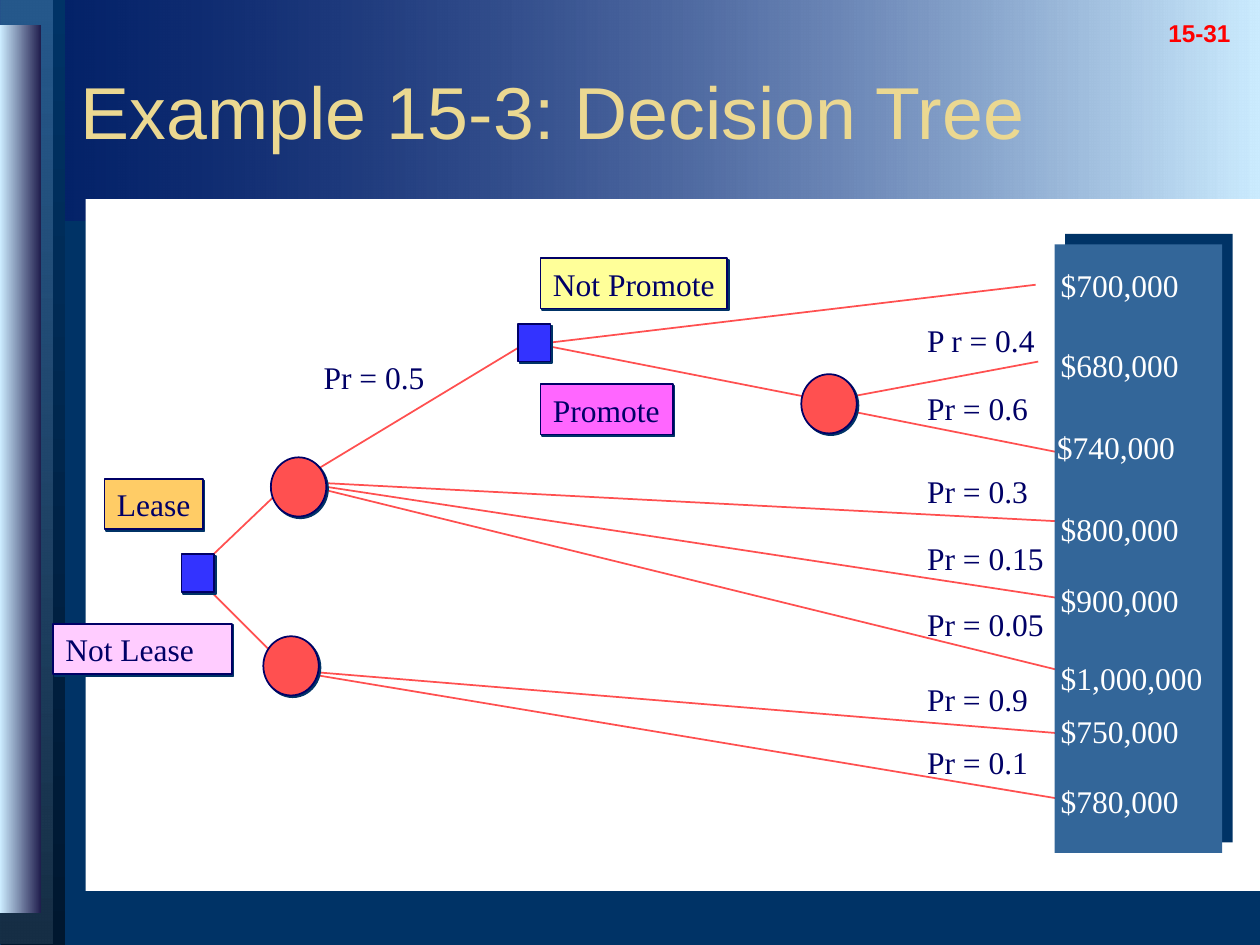
from lxml import etree
from pptx import Presentation
from pptx.dml.color import RGBColor
from pptx.enum.shapes import MSO_CONNECTOR, MSO_SHAPE
from pptx.enum.text import MSO_ANCHOR, MSO_AUTO_SIZE, PP_ALIGN
from pptx.oxml import parse_xml
from pptx.oxml.ns import nsdecls, qn
from pptx.util import Inches, Pt

C = {
    "bg": "003366", "navy": "000066", "ice": "CCECFF", "deep": "00172F",
    "steel": "336699", "slate": "172F46", "indigo": "1E1B4B", "white": "FFFFFF",
    "red": "FF0000", "coral": "FF5050", "blue": "3333FF", "gold": "EBD891",
    "orange": "FFCC66", "pink": "FFCCFF", "yellow": "FFFF99", "magenta": "FF66FF",
}


def rgb(name):
    return RGBColor.from_string(C[name])


def add_effects(s, dist=0, angle=0):
    old = s._element.spPr.find(qn("a:effectLst"))
    if old is not None:
        s._element.spPr.remove(old)
    effects = etree.SubElement(s._element.spPr, qn("a:effectLst"))
    if dist:
        shadow = etree.SubElement(effects, qn("a:outerShdw"), blurRad="0",
                                  dist=str(Pt(dist)), dir=str(angle * 60000),
                                  algn="ctr", rotWithShape="0")
        etree.SubElement(shadow, qn("a:srgbClr"), val=C["bg"])


def add_shape(slide, kind, box, fill=None, line=None):
    s = slide.shapes.add_shape(kind, *map(Inches, box))
    s.shadow.inherit = False
    if fill:
        s.fill.solid()
        s.fill.fore_color.rgb = rgb(fill)
    if line:
        s.line.color.rgb = rgb(line)
        s.line.width = Pt(1)
    else:
        s.line.fill.background()
    return s


def add_gradient(slide, box, start, end, angle):
    s = add_shape(slide, MSO_SHAPE.RECTANGLE, box)
    stops = "".join(
        f'<a:gs pos="{pos}"><a:srgbClr val="{C[name]}"><a:alpha val="{alpha * 1000}"/>'
        f'</a:srgbClr></a:gs>'
        for pos, (name, alpha) in ((0, start), (100000, end)))
    grad = parse_xml(f'<a:gradFill {nsdecls("a")} rotWithShape="1"><a:gsLst>{stops}</a:gsLst>'
                     f'<a:lin ang="{angle * 60000}" scaled="0"/></a:gradFill>')
    s._element.spPr.find(qn("a:prstGeom")).addnext(grad)


def write(s, text, color, size=18, font="Times New Roman", align=PP_ALIGN.LEFT, right=0):
    tf = s.text_frame
    tf.word_wrap = True
    tf.auto_size = MSO_AUTO_SIZE.NONE
    tf.margin_right = Inches(right)
    p = tf.paragraphs[0]
    p.alignment = align
    r = p.add_run()
    r.text = text
    r.font.size = Pt(size)
    r.font.name = font
    r.font.color.rgb = rgb(color)
    return r


def add_text(slide, box, text, color, **style):
    return write(slide.shapes.add_textbox(*map(Inches, box)), text, color, **style)


def add_frame(slide, box):
    x, y, w, h = box
    add_gradient(slide, (x, y, w, 1.75), ("ice", 100), ("navy", 38), 180)
    add_gradient(slide, (x + 0.01, y, 0.51, h), ("bg", 100), ("deep", 100), 90)
    add_gradient(slide, (x - 0.02, y - 0.01, 0.44, h), ("steel", 73), ("slate", 100), 90)
    add_gradient(slide, (x, y + 0.2, 0.33, 7.05), ("indigo", 100), ("ice", 100), 180)
    add_shape(slide, MSO_SHAPE.RECTANGLE, (x + 0.68, y + 1.58, w - 0.68, 5.49), "white")
    r = add_text(slide, (x + w - 1, y - 0.13, 1.04, 0.56), "15-31", "red", size=24,
                 font="Arial", align=PP_ALIGN.CENTER, right=0.1)
    r.font.bold = True
    r._r.get_or_add_rPr().set("baseline", "-25000")


def add_title(slide, box):
    s = slide.shapes.title
    s.left, s.top, s.width, s.height = map(Inches, box)
    write(s, "Example 15-3: Decision Tree", "gold", size=42, font="Arial")
    s.text_frame.vertical_anchor = MSO_ANCHOR.MIDDLE
    slide.shapes._spTree.append(s._element)


def add_tree(slide, box):
    x, y = box[:2]
    branches = [
        (1.88, 1.84, 1.22, 2.47), (1.88, 3.3, 1.22, 2.64),
        (1.88, 3.32, 8.07, 4.35), (1.92, 3.32, 8.13, 3.83),
        (1.9, 1.82, 8.13, 3.35), (1.9, 1.82, 8.05, 2.14), (1.9, 1.82, 8.09, 2.76),
        (1.96, 1.82, 3.78, 0.72), (3.79, 0.74, 7.82, 0.26), (3.81, 0.72, 6.05, 1.16),
        (6.13, 1.22, 8.05, 1.6), (6.13, 1.19, 7.84, 0.87),
    ]
    for x1, y1, x2, y2 in branches:
        line = slide.shapes.add_connector(
            MSO_CONNECTOR.STRAIGHT, Inches(x + x1), Inches(y + y1), Inches(x + x2), Inches(y + y2))
        line.line.color.rgb = rgb("coral")
        line.line.width = Pt(1)
        add_effects(line)

    nodes = [
        (MSO_SHAPE.OVAL, (0.44, 0.47), "coral", [(1.75, 1.63), (1.69, 3.05), (5.96, 0.97)]),
        (MSO_SHAPE.RECTANGLE, (0.26, 0.3), "blue", [(1.04, 2.4), (3.71, 0.57)]),
    ]
    for kind, size, fill, places in nodes:
        for dx, dy in places:
            add_effects(add_shape(slide, kind, (x + dx, y + dy, *size), fill, "navy"), 1.4, 45)

    choices = [
        ("Lease", 0.43, 1.8, 0.78, "orange"), ("Not Lease", 0.02, 2.95, 1.42, "pink"),
        ("Not Promote", 3.89, 0.05, 1.48, "yellow"), ("Promote", 3.89, 1.05, 1.05, "magenta"),
    ]
    for text, dx, dy, w, fill in choices:
        s = add_shape(slide, MSO_SHAPE.RECTANGLE, (x + dx, y + dy, w, 0.4), fill, "navy")
        add_effects(s, 1.4, 45)
        write(s, text, "navy")
    add_text(slide, (x + 2.07, y + 0.79, 1, 0.4), "Pr = 0.5", "navy")


def add_probabilities(slide, box):
    x, y = box[:2]
    rows = [("P r = 0.4", 0, 1.06), ("Pr = 0.6", 0.54, 1), ("Pr = 0.3", 1.2, 1),
            ("Pr = 0.15", 1.73, 1.12), ("Pr = 0.05", 2.25, 1.12),
            ("Pr = 0.9", 2.85, 1), ("Pr = 0.1", 3.35, 1)]
    for text, dy, w in rows:
        add_text(slide, (x, y + dy, w, 0.4), text, "navy")


def add_payoffs(slide, box):
    x, y = box[:2]
    add_effects(add_shape(slide, MSO_SHAPE.RECTANGLE, box, "steel"), 8.5, 315)
    rows = [("$700,000", -0.05, 0.12, 1.14), ("$680,000", -0.05, 0.76, 1.14),
            ("$740,000", -0.08, 1.41, 1.14), ("$800,000", -0.05, 2.06, 1.14),
            ("$900,000", -0.05, 2.62, 1.14), ("$1,000,000", -0.05, 3.24, 1.32),
            ("$750,000", -0.05, 3.66, 1.14), ("$780,000", -0.05, 4.22, 1.14)]
    for text, dx, dy, w in rows:
        add_text(slide, (x + dx, y + dy, w, 0.4), text, "white")


def main():
    prs = Presentation()
    prs.slide_width, prs.slide_height = Inches(10), Inches(7.5)
    slide = prs.slides.add_slide(prs.slide_layouts[5])
    slide.background.fill.solid()
    slide.background.fill.fore_color.rgb = rgb("bg")
    add_frame(slide, (0, 0, 10, 7.5))
    add_tree(slide, (0.4, 2, 8.13, 4.35))
    add_payoffs(slide, (8.37, 1.94, 1.33, 4.83))
    add_probabilities(slide, (7.26, 2.5, 1.12, 3.75))
    add_title(slide, (0.54, 0.25, 9.27, 1.25))
    prs.save("out.pptx")


if __name__ == "__main__":
    main()
